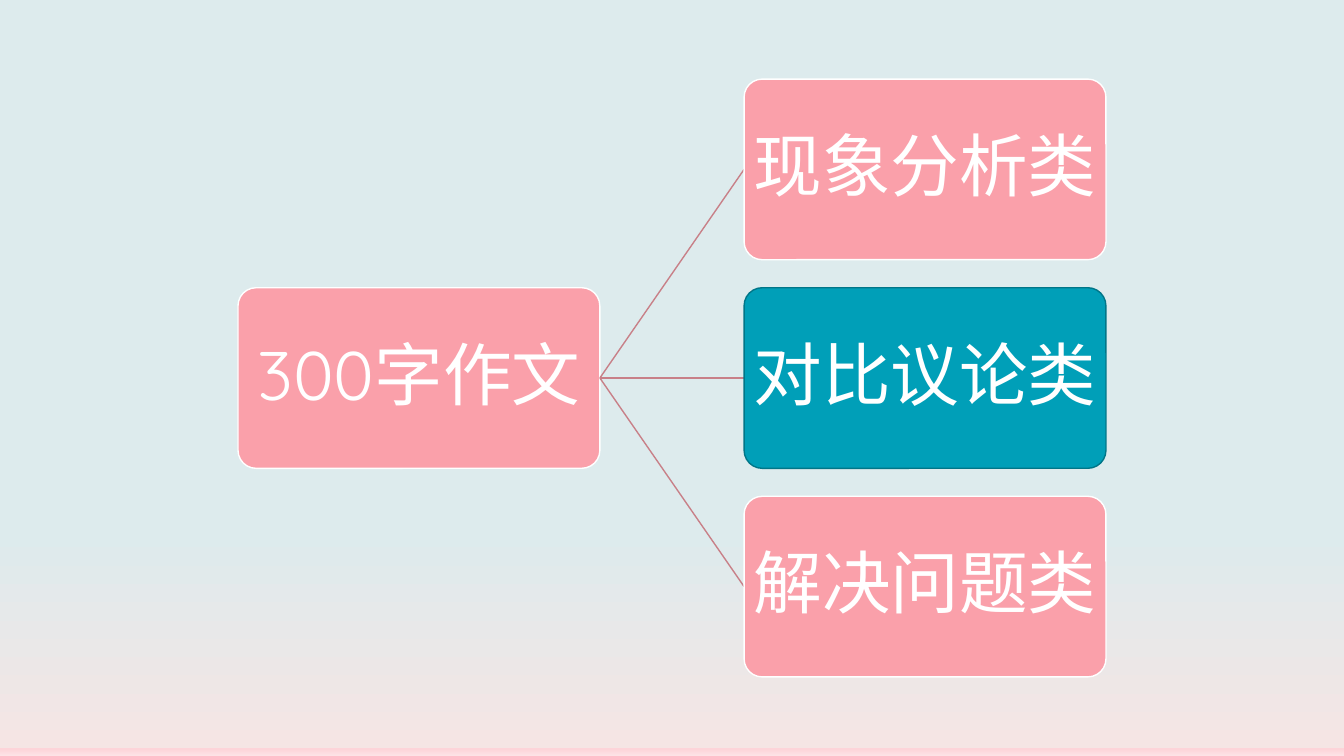
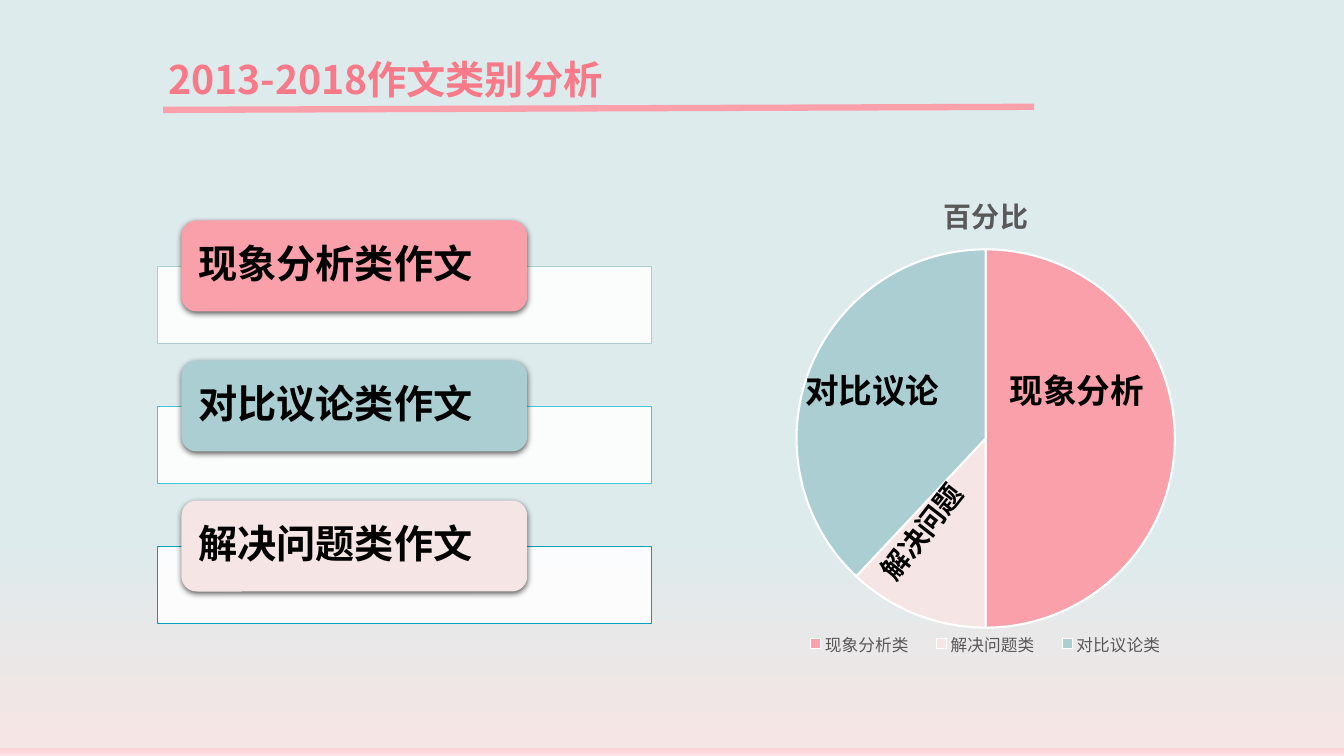
from pptx import Presentation
from pptx.chart.data import CategoryChartData as ChartData
from pptx.dml.color import RGBColor
from pptx.enum.chart import XL_CHART_TYPE as Kind, XL_LEGEND_POSITION as Spot
from pptx.enum.shapes import MSO_CONNECTOR as Link, MSO_SHAPE as Form
from pptx.enum.text import MSO_ANCHOR as Anchor, MSO_AUTO_SIZE as Fit, PP_ALIGN as Align
from pptx.oxml import parse_xml
from pptx.oxml.ns import nsdecls, qn
from pptx.util import Pt

# Shared colours and fonts
PINK = RGBColor(0xFA, 0xA0, 0xAA)
ROSE = RGBColor(0xF8, 0x79, 0x87)
DUSK = RGBColor(0xC8, 0x80, 0x88)
BLUSH = RGBColor(0xF5, 0xE5, 0xE4)
MIST = RGBColor(0xAA, 0xCE, 0xD2)
AQUA = RGBColor(0x42, 0xC6, 0xD8)
TEAL = RGBColor(0x00, 0x9F, 0xB8)
DEEP = RGBColor(0x00, 0x76, 0x88)
GREY = RGBColor(0x59, 0x59, 0x59)
WHITE = RGBColor(0xFF, 0xFF, 0xFF)
BLACK = RGBColor(0x00, 0x00, 0x00)
SKY = [(70, RGBColor(0xDD, 0xEB, 0xED)), (99, BLUSH),
       (99, RGBColor(0xFD, 0xD4, 0xD9)), (100, RGBColor(0xFD, 0xE3, 0xE6))]
SANS = "Noto Sans CJK SC"
ROUND = "Quicksand"


def set_sky(master):
    """Give all slides the same vertical gradient."""
    stops = "".join(f'<a:gs pos="{pos * 1000}"><a:srgbClr val="{tint}"/></a:gs>'
                    for pos, tint in SKY)
    root = master.element.cSld
    for old in root.findall(qn("p:bg")):
        root.remove(old)
    root.insert(0, parse_xml(
        f'<p:bg {nsdecls("p", "a")}><p:bgPr><a:gradFill rotWithShape="1">'
        f'<a:gsLst>{stops}</a:gsLst><a:lin ang="5400000" scaled="0"/>'
        '</a:gradFill><a:effectLst/></p:bgPr></p:bg>'))


def set_font(font, size, tint, name=SANS, bold=False):
    font.size, font.bold, font.name = Pt(size), bold, name
    font.color.rgb = tint


def write(frame, text, size, tint, name=SANS, bold=True, align=Align.LEFT):
    frame.text = text
    frame.word_wrap = True
    para = frame.paragraphs[0]
    para.alignment = align
    for run in para.runs:
        set_font(run.font, size, tint, name, bold)
        run._r.get_or_add_rPr().append(
            parse_xml(f'<a:ea {nsdecls("a")} typeface="{SANS}"/>'))


def add_box(slide, form, area, fill, line=None, width=1):
    box = slide.shapes.add_shape(form, *map(Pt, area))
    box.shadow.inherit = False
    box.fill.solid()
    box.fill.fore_color.rgb = fill
    if line is None:
        box.line.fill.background()
    else:
        box.line.color.rgb = line
        box.line.width = Pt(width)
    return box


def fill_box(box, inset, *style, **more):
    frame = box.text_frame
    frame.margin_left = frame.margin_right = Pt(inset)
    frame.margin_top = frame.margin_bottom = 0
    frame.vertical_anchor = Anchor.MIDDLE
    write(frame, *style, **more)
    frame.paragraphs[0].line_spacing = 0.9


def add_line(slide, start, end, tint, width):
    line = slide.shapes.add_connector(Link.STRAIGHT, *map(Pt, start + end))
    line.line.color.rgb = tint
    line.line.width = Pt(width)
    line.element.spPr.append(parse_xml(f'<a:effectLst {nsdecls("a")}/>'))


def add_label(slide, text, left, top, size, turn=0):
    box = slide.shapes.add_textbox(Pt(left), Pt(top), Pt(135), Pt(48))
    box.rotation = turn
    write(box.text_frame, text, size, BLACK)


def add_title(slide, text):
    title = slide.shapes.title
    title.left, title.top, title.width, title.height = map(Pt, (113, 36, 602, 41))
    frame = title.text_frame
    write(frame, text, 28, ROSE)
    frame.auto_size = Fit.NONE
    frame.vertical_anchor = Anchor.MIDDLE
    add_line(slide, (116.6, 78.5), (738.7, 76.3), PINK, 4.5)


# Tree of essay kinds
def add_tree(slide, stem, leaves):
    wide, high, gap, mid = 258.5, 129, 20, 270
    root, left = 170, 531.5

    def add_node(text, x, y, fill=PINK, line=WHITE):
        box = add_box(slide, Form.ROUNDED_RECTANGLE,
                      (x, y - high / 2, wide, high), fill, line)
        box.adjustments[0] = 0.1
        fill_box(box, 2, text, 49, WHITE, ROUND, bold=False, align=Align.CENTER)

    add_node(stem, root, mid)
    for row, (text, *tints) in enumerate(leaves):
        y = mid + (row - 1) * (high + gap)
        add_line(slide, (root + wide, mid), (left, y), DUSK, 1)
        add_node(text, left, y, *tints)


# Stacked cards, each a tab over a pale strip
def add_card(slide, row, text, fill, edge):
    drop = row * 100
    strip = add_box(slide, Form.RECTANGLE, (112.5, 190 + drop, 353, 55.5),
                    WHITE, edge, 0.5)
    tint = strip.element.spPr.find(qn("a:solidFill"))[0]
    tint.append(parse_xml(f'<a:alpha {nsdecls("a")} val="90000"/>'))
    tab = add_box(slide, Form.ROUNDED_RECTANGLE, (129.6, 157.5 + drop, 247, 65), fill)
    tab.element.spPr.find(qn("a:effectLst")).append(parse_xml(
        f'<a:outerShdw {nsdecls("a")} blurRad="{Pt(4.5)}" dist="{Pt(1.5)}" '
        'dir="5400000" rotWithShape="0"><a:srgbClr val="000000">'
        '<a:alpha val="63000"/></a:srgbClr></a:outerShdw>'))
    fill_box(tab, 9, text, 28, BLACK)


# Pie chart
def place(chart, tag, index, inner=False, **spots):
    """Fix a chart part at fractions of the chart area."""
    part = chart.element.find(".//" + qn(tag))
    for old in part.findall(qn("c:layout")):
        part.remove(old)
    aim = '<c:layoutTarget val="inner"/>' if inner else ""
    modes = '<c:xMode val="edge"/><c:yMode val="edge"/>'
    vals = "".join(f'<c:{key} val="{val}"/>' for key, val in spots.items())
    part.insert(index, parse_xml(
        f'<c:layout {nsdecls("c")}><c:manualLayout>{aim}{modes}{vals}'
        '</c:manualLayout></c:layout>'))


def add_pie(slide, title, slices):
    data = ChartData()
    data.categories = [name for name, _, _ in slices]
    data.add_series("Series 1", [val for _, val, _ in slices])
    area = map(Pt, (422.6, 114.5, 563, 371.5))
    chart = slide.shapes.add_chart(Kind.PIE, *area, data).chart
    set_font(chart.font, 10, BLACK, ROUND)

    chart.has_title = True
    frame = chart.chart_title.text_frame
    frame.text = title
    set_font(frame.paragraphs[0].runs[0].font, 20, GREY, bold=True)

    chart.has_legend = True
    chart.legend.position = Spot.BOTTOM
    chart.legend.include_in_layout = False
    set_font(chart.legend.font, 11.9, GREY, ROUND)

    plot = chart.plots[0]
    plot.vary_by_categories = True
    for spot, (_, _, tint) in enumerate(slices):
        look = plot.series[0].points[spot].format
        look.fill.solid()
        look.fill.fore_color.rgb = tint
        look.line.color.rgb = WHITE
        look.line.width = Pt(1.5)

    place(chart, "c:title", 1, x=0.44, y=0.05)
    place(chart, "c:plotArea", 0, inner=True, x=0.26, y=0.17, w=0.48, h=0.73)
    place(chart, "c:legend", 1, x=0.25, y=0.89, w=0.5, h=0.08)


def main():
    deck = Presentation()
    deck.slide_width, deck.slide_height = Pt(960), Pt(540)
    set_sky(deck.slide_master)
    bare, titled = deck.slide_layouts[6], deck.slide_layouts[5]

    # Slide 1: the three kinds
    slide = deck.slides.add_slide(bare)
    add_tree(slide, "300字作文",
             [("现象分析类",), ("对比议论类", TEAL, DEEP), ("解决问题类",)])

    # Slide 2: share of each kind
    slide = deck.slides.add_slide(titled)
    add_title(slide, "2013-2018作文类别分析")
    cards = [("现象分析类作文", PINK, MIST), ("对比议论类作文", MIST, AQUA),
             ("解决问题类作文", BLUSH, TEAL)]
    for row, card in enumerate(cards):
        add_card(slide, row, *card)
    add_pie(slide, "百分比", [("现象分析类", 50, PINK), ("解决问题类", 12, BLUSH),
                           ("对比议论类", 38, MIST)])
    add_label(slide, "现象分析", 714, 260.5, 24)
    add_label(slide, "解决问题", 610, 345, 20, 307.9)
    add_label(slide, "对比议论", 568, 260.5, 24)

    deck.save("out.pptx")


if __name__ == "__main__":
    main()
